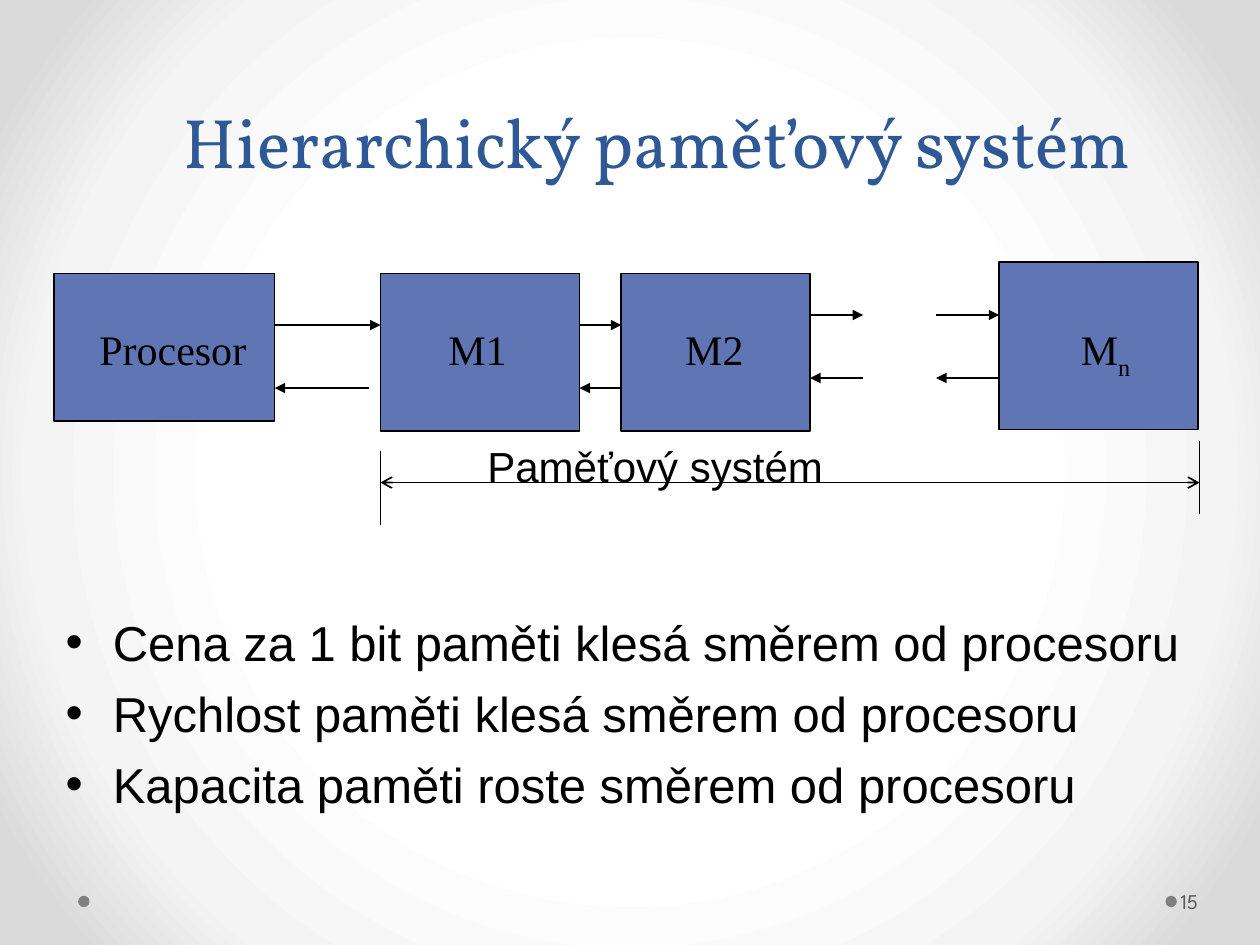
from dataclasses import dataclass

from pptx import Presentation
from pptx.dml.color import RGBColor
from pptx.enum import shapes, text
from pptx.oxml import parse_xml
from pptx.oxml.ns import nsdecls, qn
from pptx.util import Inches, Pt

COLORS = {
    "title": "2F5897", "block": "6076B4", "ink": "000000",
    "dot": "808080", "number": "595959",
}
BACKDROP = [(50, "FFFFFF"), (76, "F4F4F4"), (92, "DADADA")]


@dataclass
class Block:
    left: float
    top: float
    width: float
    height: float


@dataclass
class Label:
    left: float
    top: float
    width: float
    content: str
    font: str = "Times New Roman"
    subscript: str = ""


@dataclass
class Line:
    start: float
    end: float
    y: float
    head: str = ""
    tail: str = "triangle"
    drop: float = 0


BLOCKS = [
    Block(0.43, 2.17, 1.75, 1.17),
    Block(3.02, 2.17, 1.58, 1.25),
    Block(4.93, 2.17, 1.5, 1.25),
    Block(7.93, 2.08, 1.58, 1.33),
]
LABELS = [
    Label(0.69, 2.52, 1.58, "Procesor"),
    Label(3.46, 2.52, 1, "M1"),
    Label(5.34, 2.52, 1.17, "M2"),
    Label(8.48, 2.52, 1.25, "M", subscript="n"),
    Label(3.77, 3.45, 5, "Paměťový systém", "Arial"),
]
LINES = [
    # Requests away from the processor
    Line(2.18, 3.02, 2.58), Line(4.6, 4.93, 2.58),
    Line(6.43, 6.85, 2.5), Line(7.43, 7.93, 2.5),
    # Replies back to it
    Line(7.93, 7.43, 3), Line(6.85, 6.43, 3),
    Line(4.93, 4.6, 3.08), Line(2.93, 2.18, 3.08),
    # Span of the memory system
    Line(3.02, 3.02, 3.58, tail="", drop=0.59),
    Line(9.52, 9.52, 3.5, tail="", drop=0.58),
    Line(3.02, 9.52, 3.83, head="arrow", tail="arrow"),
]
BULLETS = [
    "Cena za 1 bit paměti klesá směrem od procesoru",
    "Rychlost paměti klesá směrem od procesoru",
    "Kapacita paměti roste směrem od procesoru",
]


def place(shape, left: float, top: float, width: float, height: float) -> None:
    shape.left, shape.top = Inches(left), Inches(top)
    shape.width, shape.height = Inches(width), Inches(height)


def add_span(para, content: str, font: str, size: float, color: str):
    span = para.add_run()
    span.text = content
    span.font.name, span.font.size = font, Pt(size)
    span.font.color.rgb = RGBColor.from_string(COLORS[color])
    return span


def paint_background(page) -> None:
    stops = "".join(
        f'<a:gs pos="{pos * 1000}"><a:srgbClr val="{color}"/></a:gs>'
        for pos, color in BACKDROP)
    page.element.cSld.insert(0, parse_xml(
        f'<p:bg {nsdecls("p", "a")}><p:bgPr><a:gradFill rotWithShape="1">'
        f'<a:gsLst>{stops}</a:gsLst><a:path path="circle">'
        '<a:fillToRect l="50000" t="50000" r="50000" b="50000"/></a:path>'
        '</a:gradFill><a:effectLst/></p:bgPr></p:bg>'))


def add_filled(page, kind, block: Block, color: str):
    shape = page.shapes.add_shape(
        kind, Inches(block.left), Inches(block.top),
        Inches(block.width), Inches(block.height))
    shape.shadow.inherit = False
    shape.fill.solid()
    shape.fill.fore_color.rgb = RGBColor.from_string(COLORS[color])
    shape.line.fill.background()
    return shape


def outline(line) -> None:
    line.color.rgb = RGBColor.from_string(COLORS["ink"])
    line.width = Pt(1)


def add_line(page, line: Line) -> None:
    connector = page.shapes.add_connector(
        shapes.MSO_CONNECTOR.STRAIGHT, Inches(line.start), Inches(line.y),
        Inches(line.end), Inches(line.y + line.drop))
    outline(connector.line)
    properties = connector.element.spPr
    stroke = properties.find(qn("a:ln"))
    for tag, kind in (("headEnd", line.head), ("tailEnd", line.tail)):
        if kind:
            stroke.append(parse_xml(
                f'<a:{tag} {nsdecls("a")} type="{kind}"/>'))
    properties.append(parse_xml(f'<a:effectLst {nsdecls("a")}/>'))


def add_label(page, label: Label) -> None:
    box = page.shapes.add_textbox(
        Inches(label.left), Inches(label.top), Inches(label.width), Inches(0.5))
    box.text_frame.word_wrap = True
    para = box.text_frame.paragraphs[0]
    add_span(para, label.content, label.font, 24, "ink")
    if label.subscript:
        span = add_span(para, label.subscript, label.font, 24, "ink")
        span.font._element.set("baseline", "-25000")


def fill_placeholders(page) -> None:
    title, body = page.shapes.title, page.placeholders[1]
    place(title, 0.43, 0.29, 9.57, 1.21)
    title.text_frame.auto_size = text.MSO_AUTO_SIZE.NONE
    title.text_frame.vertical_anchor = text.MSO_ANCHOR.BOTTOM
    para = title.text_frame.paragraphs[0]
    para.alignment, para.line_spacing = text.PP_ALIGN.CENTER, Pt(58)
    add_span(para, "Hierarchický paměťový systém", "Vollkorn", 40, "title")

    place(body, 0.42, 4.81, 9.33, 2.11)
    frame = body.text_frame
    frame.auto_size = text.MSO_AUTO_SIZE.NONE
    for index, content in enumerate(BULLETS):
        para = frame.add_paragraph() if index else frame.paragraphs[0]
        para.space_before = Pt(7 if index else 0)
        add_span(para, content, "Arial", 28, "ink")


def add_page_number(page) -> None:
    box = page.shapes.add_textbox(
        Inches(9.34), Inches(6.95), Inches(0.61), Inches(0.4))
    frame = box.text_frame
    frame.word_wrap = True
    frame.margin_left, frame.margin_right = Inches(0.03), Inches(0.05)
    frame.vertical_anchor = text.MSO_ANCHOR.MIDDLE
    add_span(frame.paragraphs[0], "15", "League Spartan", 12, "number")


def main() -> None:
    deck = Presentation()
    deck.slide_width, deck.slide_height = Inches(10), Inches(7.5)
    page = deck.slides.add_slide(deck.slide_layouts[1])

    # Backdrop, footer dots, title and list
    paint_background(page)
    for left in (9.25, 0.62):
        add_filled(page, shapes.MSO_SHAPE.OVAL,
                   Block(left, 7.11, 0.09, 0.09), "dot")
    fill_placeholders(page)

    # Memory hierarchy diagram
    for block in BLOCKS:
        outline(add_filled(page, shapes.MSO_SHAPE.RECTANGLE,
                           block, "block").line)
    for line in LINES:
        add_line(page, line)
    for label in LABELS:
        add_label(page, label)

    add_page_number(page)
    deck.save("out.pptx")


if __name__ == "__main__":
    main()
